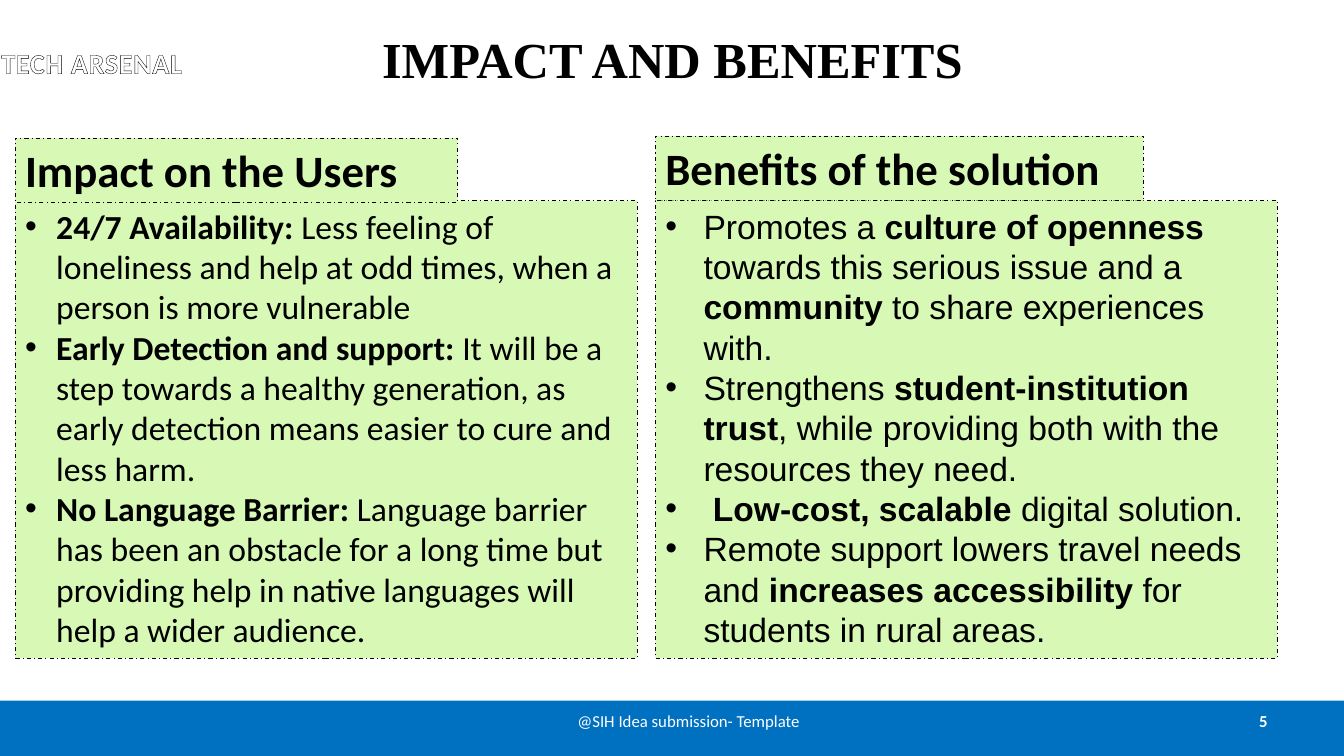
from lxml.etree import SubElement
from pptx import Presentation
from pptx.dml.color import RGBColor
from pptx.enum.dml import MSO_LINE
from pptx.enum.shapes import MSO_SHAPE
from pptx.enum.text import MSO_ANCHOR, PP_ALIGN
from pptx.oxml import parse_xml
from pptx.oxml.ns import nsdecls, qn
from pptx.util import Inches, Pt

BLACK = RGBColor(0x00, 0x00, 0x00)
WHITE = RGBColor(0xFF, 0xFF, 0xFF)
BLUE = RGBColor(0x00, 0x70, 0xC0)
GREEN = RGBColor(0xD7, 0xF9, 0xB5)

PANEL_TOP, PANEL_WIDTH, PANEL_HEIGHT = 1.99, 6.17, 4.54
HEADING_HEIGHT = 0.64

# Asterisks enclose bold words.
IMPACTS = [
    "*24/7 Availability: *Less feeling of loneliness and help at odd times, "
    "when a person is more vulnerable",
    "*Early Detection and support: *It will be a step towards a healthy "
    "generation, as early detection means easier to cure and less harm.",
    "*No Language Barrier: *Language barrier has been an obstacle for a long "
    "time but providing help in native languages will help a wider audience.",
]
BENEFITS = [
    "Promotes a *culture of openness *towards this serious issue and a "
    "*community* to share experiences with.",
    "Strengthens *student-institution trust*, while providing both with the "
    "resources they need.",
    " *Low-cost, scalable *digital solution.",
    "Remote support lowers travel needs and *increases accessibility* for "
    "students in rural areas.",
]


def style_font(font, size, color, name="Calibri", bold=False):
    font.name = name
    font.size = Pt(size)
    font.bold = bold
    font.color.rgb = color


def add_rectangle(page, left, top, width, height, color):
    box = page.shapes.add_shape(MSO_SHAPE.RECTANGLE, Inches(left), Inches(top),
                                Inches(width), Inches(height))
    box.shadow.inherit = False
    box.fill.solid()
    box.fill.fore_color.rgb = color
    box.line.fill.background()
    return box


def add_dashed_box(page, left, top, width, height):
    box = add_rectangle(page, left, top, width, height, GREEN)
    box.line.color.rgb = BLACK
    box.line.width = Pt(0.75)
    box.line.dash_style = MSO_LINE.DASH_DOT
    box.text_frame.word_wrap = True
    box.text_frame.vertical_anchor = MSO_ANCHOR.TOP
    return box


def add_label(page, left, top, width, height, text, size, color,
              name="Calibri", bold=False, align=PP_ALIGN.CENTER):
    box = page.shapes.add_textbox(Inches(left), Inches(top), Inches(width), Inches(height))
    frame = box.text_frame
    frame.word_wrap = True
    frame.vertical_anchor = MSO_ANCHOR.MIDDLE
    frame.text = text
    paragraph = frame.paragraphs[0]
    paragraph.alignment = align
    span = paragraph.runs[0]
    style_font(span.font, size, color, name, bold)
    return span


def outline_letters(span):
    """Give the letters a hairline black outline and slightly wider spacing."""
    properties = span.font._element
    properties.set("spc", "50")
    properties.insert(0, parse_xml(
        f'<a:ln {nsdecls("a")} w="0"><a:solidFill><a:srgbClr val="{BLACK}"/>'
        '</a:solidFill></a:ln>'))


def add_bullet(paragraph, indent):
    properties = paragraph._p.get_or_add_pPr()
    properties.set("marL", str(Inches(indent)))
    properties.set("indent", str(-Inches(indent)))
    SubElement(properties, qn("a:buFont"), typeface="Arial")
    SubElement(properties, qn("a:buChar"), char="•")


def add_heading(page, left, top, width, text):
    frame = add_dashed_box(page, left, top, width, HEADING_HEIGHT).text_frame
    frame.text = text
    paragraph = frame.paragraphs[0]
    paragraph.alignment = PP_ALIGN.LEFT
    style_font(paragraph.runs[0].font, 32, BLACK, bold=True)


def add_panel(page, left, points, font_name, indent):
    frame = add_dashed_box(page, left, PANEL_TOP, PANEL_WIDTH, PANEL_HEIGHT).text_frame
    for index, point in enumerate(points):
        paragraph = frame.add_paragraph() if index else frame.paragraphs[0]
        paragraph.alignment = PP_ALIGN.LEFT
        add_bullet(paragraph, indent)
        for part, text in enumerate(point.split("*")):
            if text:
                span = paragraph.add_run()
                span.text = text
                style_font(span.font, 24, BLACK, font_name, bold=part % 2 == 1)


def main():
    deck = Presentation()
    deck.slide_width, deck.slide_height = Inches(13.33), Inches(7.5)
    page = deck.slides.add_slide(deck.slide_layouts[6])

    add_rectangle(page, 0, 6.95, 13.33, 0.55, BLUE)
    add_label(page, 0.67, -0.05, 12, 1.25, "IMPACT AND BENEFITS", 36, BLACK,
              "Times New Roman", bold=True)
    add_label(page, 9.56, 6.95, 3.11, 0.4, "5", 12, WHITE, bold=True,
              align=PP_ALIGN.RIGHT)
    add_label(page, 5.08, 6.95, 3.5, 0.4, "@SIH Idea submission- Template", 12, WHITE)
    team = add_label(page, -0.16, 0.4, 2.14, 0.44, "TECH ARSENAL", 20, WHITE, bold=True)
    outline_letters(team)

    add_panel(page, 0.15, IMPACTS, "Calibri", 0.31)
    add_panel(page, 6.5, BENEFITS, "Arial", 0.38)
    add_heading(page, 0.15, 1.37, 4.39, "Impact on the Users")
    add_heading(page, 6.5, 1.35, 4.84, "Benefits of the solution")

    deck.save("out.pptx")


if __name__ == "__main__":
    main()
